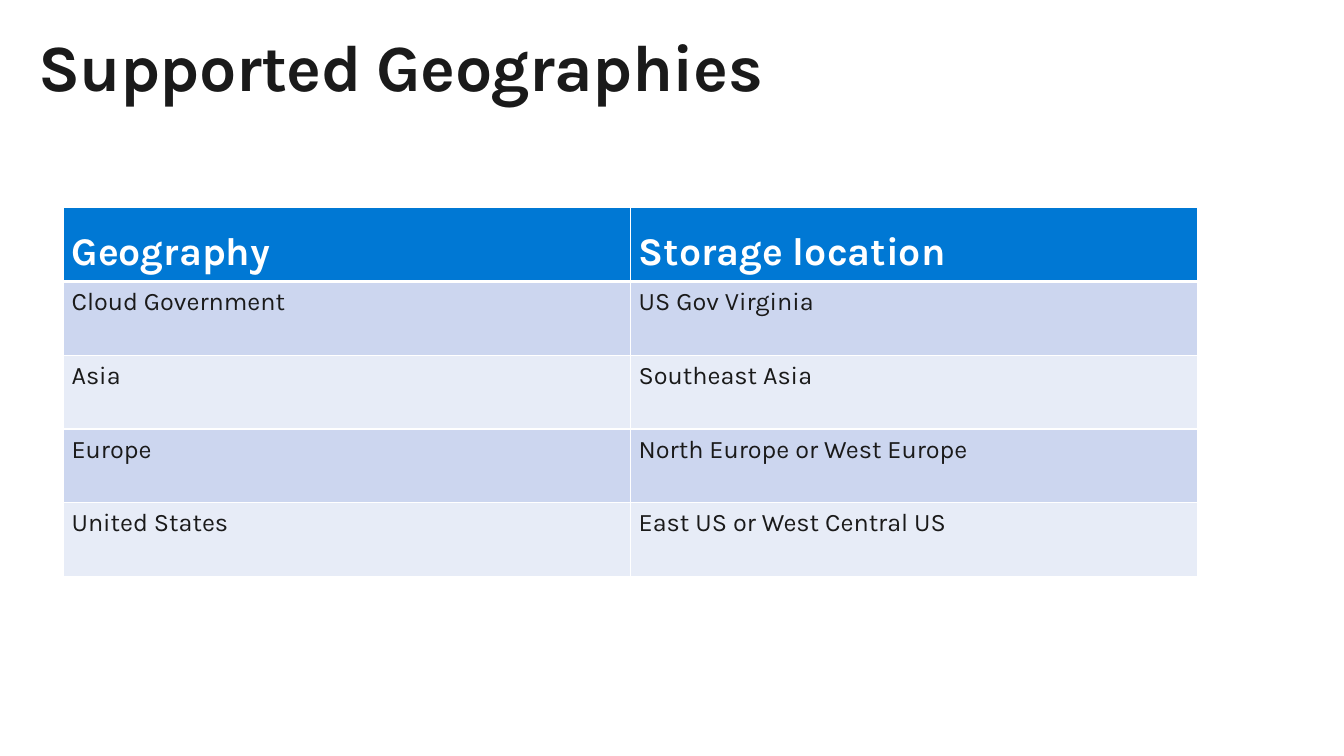
from dataclasses import dataclass

from lxml import etree
from pptx import Presentation
from pptx.dml.color import RGBColor
from pptx.enum.text import MSO_ANCHOR
from pptx.oxml.ns import qn
from pptx.util import Inches, Pt

TOP = MSO_ANCHOR.TOP
BOTTOM = MSO_ANCHOR.BOTTOM


@dataclass(frozen=True)
class Theme:
    font: str = "Karla"
    ink: str = "1A1A1A"
    white: str = "FFFFFF"
    header: str = "0078D4"
    bands: tuple = ("CCD6EF", "E7ECF7")
    title_size: float = 47.1
    header_size: float = 28
    body_size: float = 18
    border: float = 1
    header_rule: float = 3


theme = Theme()


def write(frame, text, size, color, bold=False, spacing=None):
    run = frame.paragraphs[0].add_run()
    run.text = text
    run.font.name = theme.font
    run.font.size = Pt(size)
    run.font.bold = bold
    run.font.color.rgb = RGBColor.from_string(color)
    if spacing is not None:
        run.font._element.set("spc", str(int(spacing * 100)))


def add_border(cell, side, width):
    line = etree.SubElement(cell._tc.get_or_add_tcPr(), qn(f"a:{side}"), w=str(Pt(width)))
    fill = etree.SubElement(line, qn("a:solidFill"))
    etree.SubElement(fill, qn("a:srgbClr"), val=theme.white)


deck = Presentation()
deck.slide_width = Inches(13.33)
deck.slide_height = Inches(7.5)
slide = deck.slides.add_slide(deck.slide_layouts[6])

title = slide.shapes.add_textbox(Inches(0.38), Inches(0.25), Inches(12.58), Inches(0.79)).text_frame
title.word_wrap = True
title.margin_left = title.margin_right = title.margin_top = title.margin_bottom = 0
write(title, "Supported Geographies", size=theme.title_size, color=theme.ink, bold=True, spacing=-0.5)

locations = [
    ("Geography", "Storage location"),
    ("Cloud Government", "US Gov Virginia"),
    ("Asia", "Southeast Asia"),
    ("Europe", "North Europe or West Europe"),
    ("United States", "East US or West Central US"),
]
geographies = slide.shapes.add_table(
    len(locations), 2, Inches(0.63), Inches(2.06), Inches(11.25), Inches(3.66)
).table

for row, entries in enumerate(locations):
    is_header = row == 0
    for column, entry in enumerate(entries):
        cell = geographies.cell(row, column)
        cell.margin_left = cell.margin_right = Inches(0.08)
        cell.margin_top = cell.margin_bottom = Inches(0.06)
        cell.vertical_anchor = BOTTOM if is_header else TOP
        for side in ("lnL", "lnR", "lnT", "lnB"):
            thick = is_header and side == "lnB"
            add_border(cell, side, theme.header_rule if thick else theme.border)
        cell.fill.solid()
        cell.fill.fore_color.rgb = RGBColor.from_string(
            theme.header if is_header else theme.bands[(row - 1) % 2]
        )
        write(
            cell.text_frame,
            entry,
            size=theme.header_size if is_header else theme.body_size,
            color=theme.white if is_header else theme.ink,
            bold=is_header,
        )

deck.save("out.pptx")
